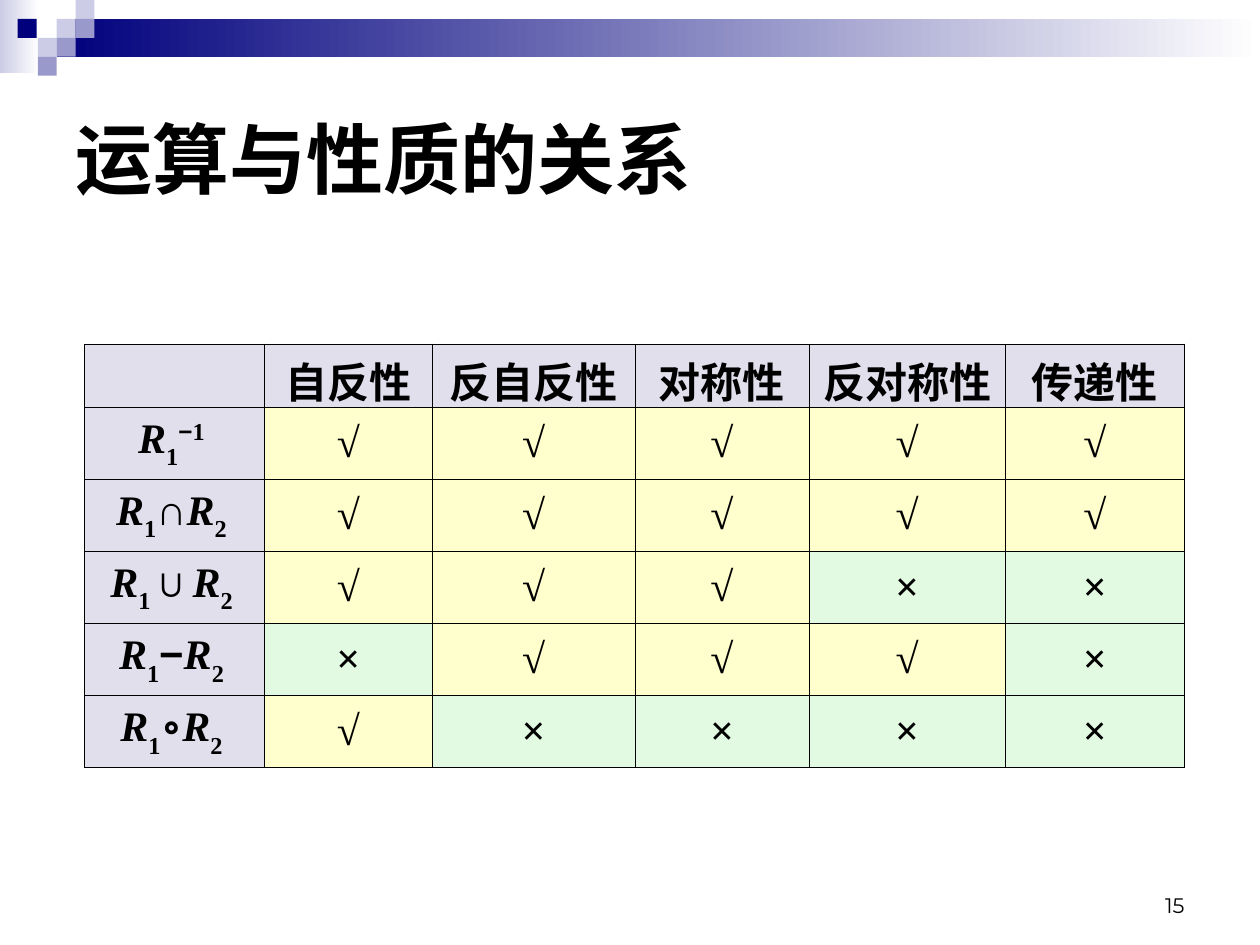
import pptx
import pptx.util
import pptx.dml.color
import pptx.enum.shapes
import pptx.enum.text
import pptx.oxml
import pptx.oxml.ns

Inches, Pt = pptx.util.Inches, pptx.util.Pt
ALIGN, ANCHOR = pptx.enum.text.PP_ALIGN, pptx.enum.text.MSO_ANCHOR

TITLE = "运算与性质的关系"
PAGE = "15"
SERIF, SANS = "Times New Roman", "Arial"
NAVY, MID, PALE, WHITE = "00007D", "9999CC", "CCCCE6", "FFFFFF"
HEAD = "E2DFED"
TINT = {"√": "FFFFCD", "×": "E3FAE2"}

BANDS = [((0, 0, 0.31, 0.58), PALE), ((0.45, 0.15, 9.55, 0.3), NAVY)]
TILES = [(0.45, 0.15, PALE), (0.6, 0, PALE), (0.6, 0.15, MID),
         (0.3, 0.3, PALE), (0.14, 0.15, NAVY), (0.45, 0.3, MID),
         (0.3, 0.45, MID)]
TILE = 0.15

# Each label is a list of (text, baseline shift in percent)
R1, R2 = [("R", 0), ("1", -30)], [("R", 0), ("2 ", -30)]
TRAITS = ["自反性", "反自反性", "对称性", "反对称性", "传递性"]
ROWS = [
    (R1 + [("−", 30), ("1 ", 30)], "√√√√√"),
    (R1 + [("∩", 0)] + R2, "√√√√√"),
    (R1 + [("∪", 0)] + R2, "√√√××"),
    (R1 + [("−", 0)] + R2, "×√√√×"),
    (R1 + [("∘", 0)] + R2, "√××××"),
]
WIDTHS = [1.43, 1.33, 1.61, 1.38, 1.56, 1.42]
HEIGHTS = [0.5] + [0.57] * len(ROWS)


def color(code):
    return pptx.dml.color.RGBColor.from_string(code)


def block(slide, box, code, fade=False):
    rect = pptx.enum.shapes.MSO_SHAPE.RECTANGLE
    shape = slide.shapes.add_shape(rect, *map(Inches, box))
    shape.shadow.inherit = False
    shape.line.fill.background()
    if fade:
        shape.fill.gradient()
        shape.fill.gradient_angle = 180
        for stop, tone in zip(shape.fill.gradient_stops, (WHITE, code)):
            stop.color.rgb = color(tone)
    else:
        shape.fill.solid()
        shape.fill.fore_color.rgb = color(code)


def style(para, size, name, bold, align):
    para.alignment = align
    font = para.font
    font.size, font.name, font.bold = Pt(size), name, bold
    font.color.rgb = color("000000")


def label(slide, box, text, anchor, *look):
    frame = slide.shapes.add_textbox(*map(Inches, box)).text_frame
    frame.word_wrap = True
    frame.vertical_anchor = anchor
    para = frame.paragraphs[0]
    para.add_run().text = text
    style(para, *look)


def border(cell, widths):
    """Draw left, right, top and bottom edges, widths in points."""
    props = cell._tc.get_or_add_tcPr()
    for spot, (side, width) in enumerate(zip("LRTB", widths)):
        props.insert(spot, pptx.oxml.parse_xml(
            f'<a:ln{side} {pptx.oxml.ns.nsdecls("a")} w="{Pt(width)}">'
            '<a:solidFill><a:srgbClr val="000000"/></a:solidFill>'
            f'</a:ln{side}>'))


def fill(cell, parts, code):
    cell.fill.solid()
    cell.fill.fore_color.rgb = color(code)
    cell.vertical_anchor = ANCHOR.MIDDLE
    para = cell.text_frame.paragraphs[0]
    for text, shift in parts:
        run = para.add_run()
        run.text = text
        if text == "R":
            run.font.italic = True
        if text == "−":
            run.font.name = SANS
        if shift:
            run._r.get_or_add_rPr().set("baseline", str(shift * 1000))
    style(para, 24, SERIF, True, ALIGN.CENTER)


def matrix(slide):
    grid = [[([], HEAD)] + [([(name, 0)], HEAD) for name in TRAITS]]
    for name, marks in ROWS:
        grid.append([(name, HEAD)] + [([(m, 0)], TINT[m]) for m in marks])
    rows, cols = len(grid), len(WIDTHS)
    box = (0.67, 2.73, sum(WIDTHS), sum(HEIGHTS))
    table = slide.shapes.add_table(rows, cols, *map(Inches, box)).table
    for col, width in zip(table.columns, WIDTHS):
        col.width = Inches(width)
    for row, height in zip(table.rows, HEIGHTS):
        row.height = Inches(height)
    for r, line in enumerate(grid):
        for c, (parts, code) in enumerate(line):
            cell = table.cell(r, c)
            fill(cell, parts, code)
            outer = (c == 0, c == cols - 1, r == 0, r == rows - 1)
            border(cell, [0.34 if edge else 0.45 for edge in outer])


def main():
    deck = pptx.Presentation()
    deck.slide_width, deck.slide_height = Inches(10), Inches(7.5)
    slide = deck.slides.add_slide(deck.slide_layouts[6])
    for box, code in BANDS:
        block(slide, box, code, fade=True)
    for x, y, code in TILES:
        block(slide, (x, y, TILE, TILE), code)
    label(slide, (0.5, 0.5, 9, 1.5), TITLE, ANCHOR.MIDDLE,
          44, SANS, True, ALIGN.LEFT)
    matrix(slide)
    label(slide, (7.17, 6.83, 2.33, 0.5), PAGE, ANCHOR.BOTTOM,
          12, "Montserrat", False, ALIGN.RIGHT)
    deck.save("out.pptx")


if __name__ == "__main__":
    main()
